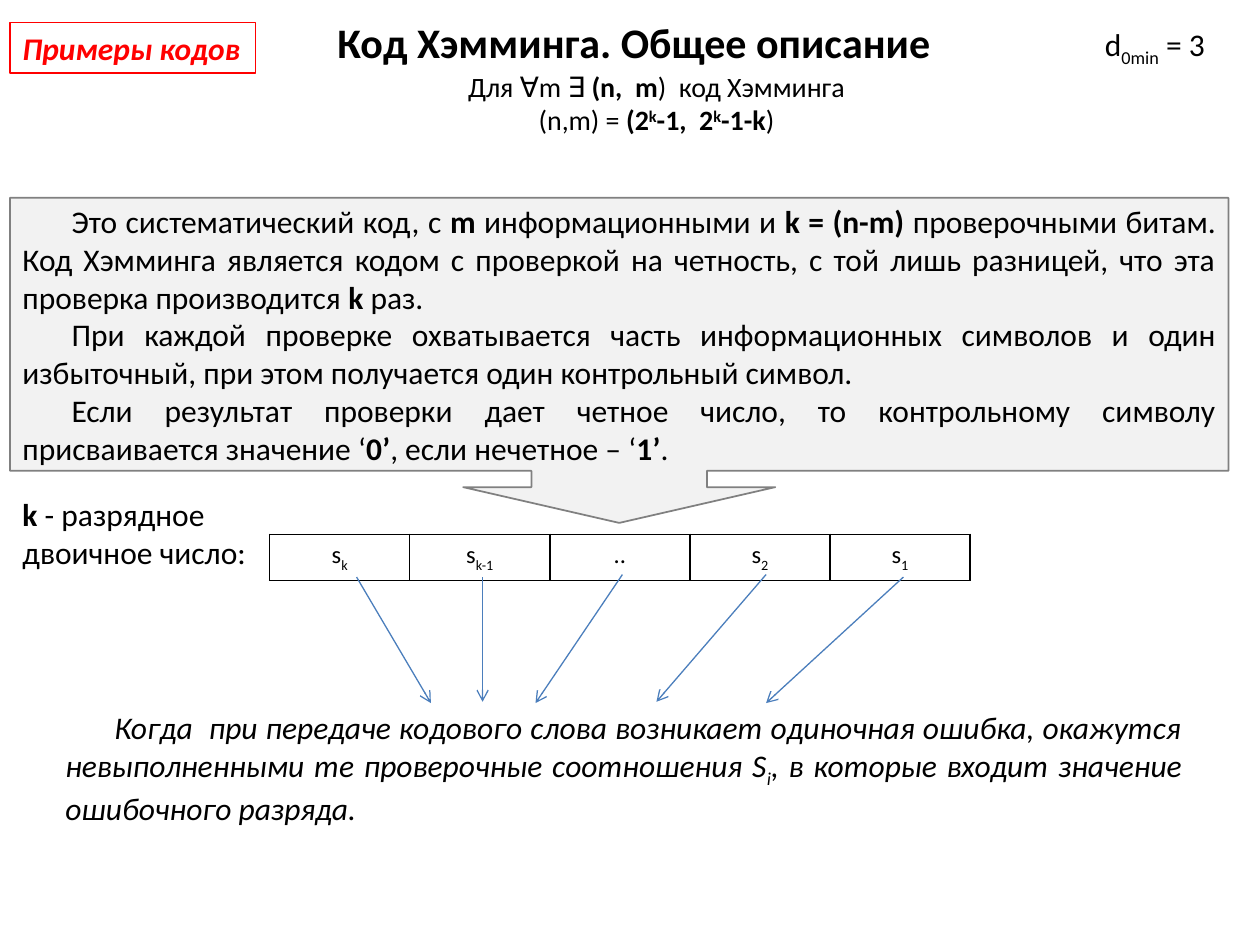
from lxml.etree import SubElement
from pptx import Presentation
from pptx.dml.color import RGBColor
from pptx.enum.shapes import MSO_CONNECTOR, MSO_SHAPE
from pptx.enum.text import MSO_ANCHOR, PP_ALIGN as ALIGN
from pptx.oxml.ns import qn
from pptx.util import Inches, Pt

BLACK, RED, BLUE = "000000", "FF0000", "4B7EBC"
PALE_GREY, GREY = "F2F2F2", "808080"
INDENT = 0.39

INTRO = [
    ["Это систематический код, с ", ("m ", "bold"), "информационными и ",
     ("k = (n-m)", "bold"),
     " проверочными битам. Код Хэмминга является кодом с проверкой на четность, "
     "с той лишь разницей, что эта проверка производится ", ("k ", "bold"), "раз."],
    ["При каждой проверке охватывается часть информационных символов и один "
     "избыточный, при этом получается один контрольный символ. "],
    ["Если результат проверки дает четное число, то контрольному символу "
     "присваивается значение ‘", ("0’", "bold"), ", если нечетное – ‘",
     ("1’", "bold"), "."],
]
FORMULA = [
    ["Для ∀m ∃ ", ("(n,  m", "bold"), ")  код Хэмминга"],
    ["(n,m) = ", ("(2", "bold"), ("k", "bold sup"), ("-1,  2", "bold"),
     ("k", "bold sup"), ("-1-k", "bold"), ")"],
]
CONCLUSION = [
    ["Когда  при передаче кодового слова возникает одиночная ошибка, окажутся "
     "невыполненными те проверочные соотношения S", ("i", "sub"),
     ", в которые входит значение ошибочного разряда."],
]
SYNDROME = [["s", ("k", "sub")], ["s", ("k-1", "sub")], [".."],
            ["s", ("2", "sub")], ["s", ("1", "sub")]]
ARROWS = [((2.83, 4.58), (3.42, 5.58)), ((3.83, 4.58), (3.83, 5.57)),
          ((4.94, 4.56), (4.25, 5.58)), ((6.08, 4.56), (5.21, 5.57)),
          ((7.17, 4.58), (6.08, 5.58))]


def rgb(color):
    return RGBColor.from_string(color)


def write(frame, paragraphs, size=18, color=BLACK, align=ALIGN.LEFT,
          bold=None, italic=None, indent=0):
    """Fill a frame with paragraphs of runs: plain text or (text, styles)."""
    for index, runs in enumerate(paragraphs):
        paragraph = frame.add_paragraph() if index else frame.paragraphs[0]
        paragraph.alignment = align
        font = paragraph.font
        font.name, font.size = "Calibri", Pt(size)
        font.bold, font.italic = bold, italic
        font.color.rgb = rgb(color)
        if indent:
            properties = paragraph._p.get_or_add_pPr()
            properties.set("marL", "0")
            properties.set("indent", str(Inches(indent)))
        for part in runs:
            text, styles = (part, "") if isinstance(part, str) else part
            run = paragraph.add_run()
            run.text = text
            if "bold" in styles:
                run.font.bold = True
            for style, baseline in (("sub", "-25000"), ("sup", "30000")):
                if style in styles:
                    run._r.get_or_add_rPr().set("baseline", baseline)


def add_text(slide, box, paragraphs, wrap=True, **style):
    frame = slide.shapes.add_textbox(*map(Inches, box)).text_frame
    frame.word_wrap = wrap
    write(frame, paragraphs, **style)


def add_panel(slide, preset, box, paragraphs, line, line_width, fill=None,
              adjustments=(), wrap=True, **style):
    panel = slide.shapes.add_shape(preset, *map(Inches, box))
    panel.shadow.inherit = False
    for index, value in enumerate(adjustments):
        panel.adjustments[index] = value
    if fill:
        panel.fill.solid()
        panel.fill.fore_color.rgb = rgb(fill)
    else:
        panel.fill.background()
    panel.line.color.rgb = rgb(line)
    panel.line.width = Pt(line_width)
    panel.text_frame.word_wrap = wrap
    panel.text_frame.vertical_anchor = MSO_ANCHOR.MIDDLE
    write(panel.text_frame, paragraphs, **style)


def add_borders(cell, color, width):
    properties = cell._tc.get_or_add_tcPr()
    for side in ("a:lnL", "a:lnR", "a:lnT", "a:lnB"):
        border = SubElement(properties, qn(side), w=str(Pt(width)))
        solid = SubElement(border, qn("a:solidFill"))
        SubElement(solid, qn("a:srgbClr"), val=color)


def add_row(slide, box, entries):
    """Add a one-row table with equal columns."""
    table = slide.shapes.add_table(1, len(entries), *map(Inches, box)).table
    table.first_row = table.horz_banding = False
    for cell, runs in zip(table.rows[0].cells, entries):
        add_borders(cell, BLACK, 1)
        cell.fill.background()
        write(cell.text_frame, [runs], size=14, align=ALIGN.CENTER)


def add_arrow(slide, start, end):
    arrow = slide.shapes.add_connector(
        MSO_CONNECTOR.STRAIGHT, *map(Inches, start + end))
    arrow.line.color.rgb = rgb(BLUE)
    arrow.line.width = Pt(0.75)
    SubElement(arrow.line._get_or_add_ln(), qn("a:tailEnd"), type="arrow")
    SubElement(arrow._element.spPr, qn("a:effectLst"))


def main():
    presentation = Presentation()
    presentation.slide_width, presentation.slide_height = Inches(10), Inches(7.5)
    slide = presentation.slides.add_slide(presentation.slide_layouts[6])

    add_text(slide, (2.58, 0.08, 4.95, 0.5), [["Код Хэмминга. Общее описание"]],
             wrap=False, size=24, bold=True)
    add_text(slide, (8.67, 0.15, 1.05, 0.4), [["d", ("0min", "sub"), " = 3"]],
             wrap=False)
    add_text(slide, (0.42, 5.57, 9.06, 1.01), CONCLUSION,
             align=ALIGN.JUSTIFY, italic=True, indent=INDENT)
    add_panel(slide, MSO_SHAPE.RECTANGLE, (0.08, 0.18, 1.95, 0.4),
              [["Примеры кодов"]], RED, 0.75, wrap=False,
              color=RED, bold=True, italic=True)
    add_text(slide, (2.75, 0.5, 4.92, 0.64), FORMULA, size=16, align=ALIGN.CENTER)
    add_row(slide, (2.14, 4.24, 5.56, 0.33), SYNDROME)
    add_text(slide, (0.08, 3.88, 2.08, 0.71),
             [[("k ", "bold"), "- разрядное двоичное число:"]])
    add_panel(slide, MSO_SHAPE.DOWN_ARROW_CALLOUT, (0.08, 1.57, 9.67, 2.58),
              INTRO, GREY, 1, fill=PALE_GREY,
              adjustments=(0.54, 0.48, 0.11, 0.84),
              align=ALIGN.JUSTIFY, indent=INDENT)
    for start, end in ARROWS:
        add_arrow(slide, start, end)

    presentation.save("out.pptx")


if __name__ == "__main__":
    main()
